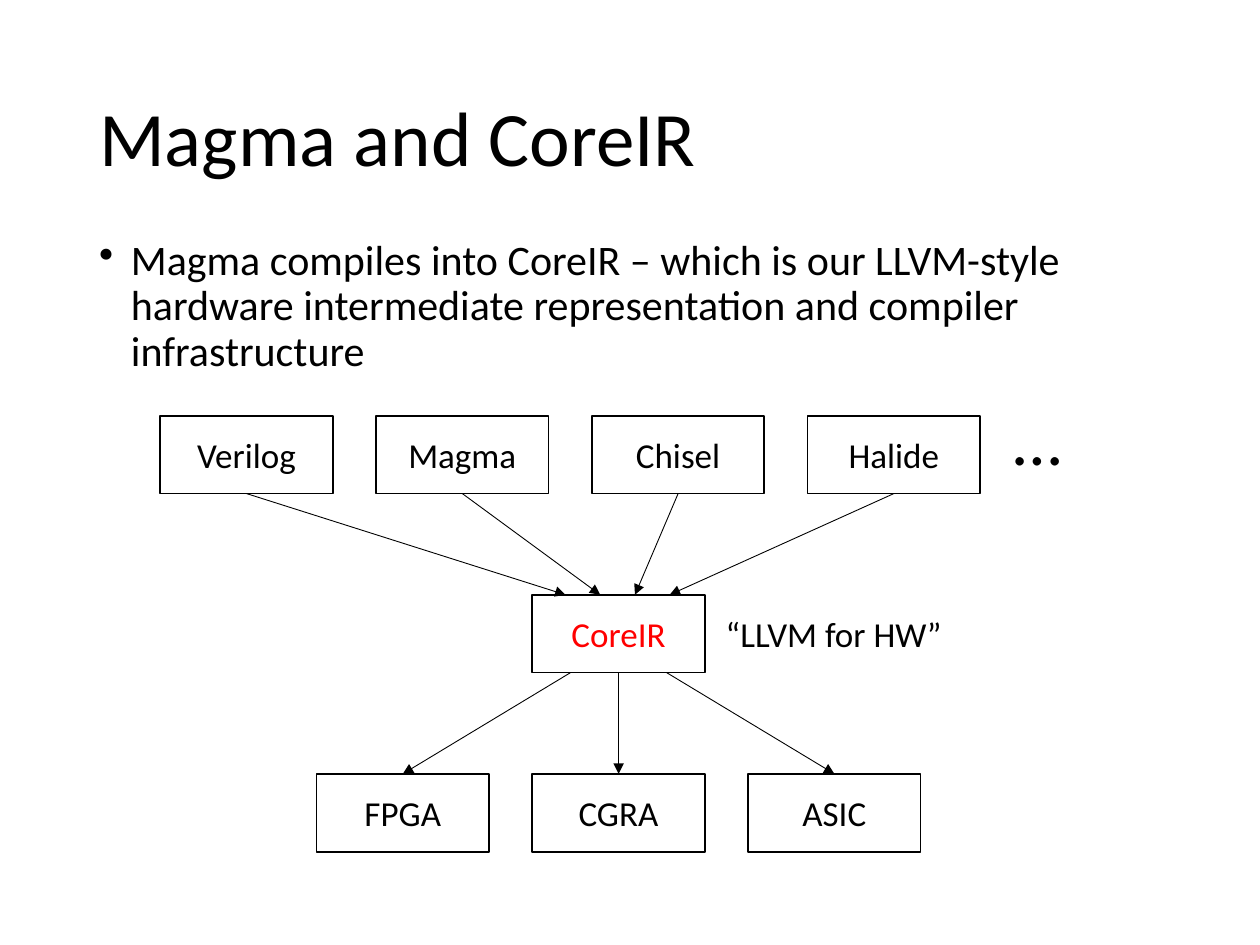
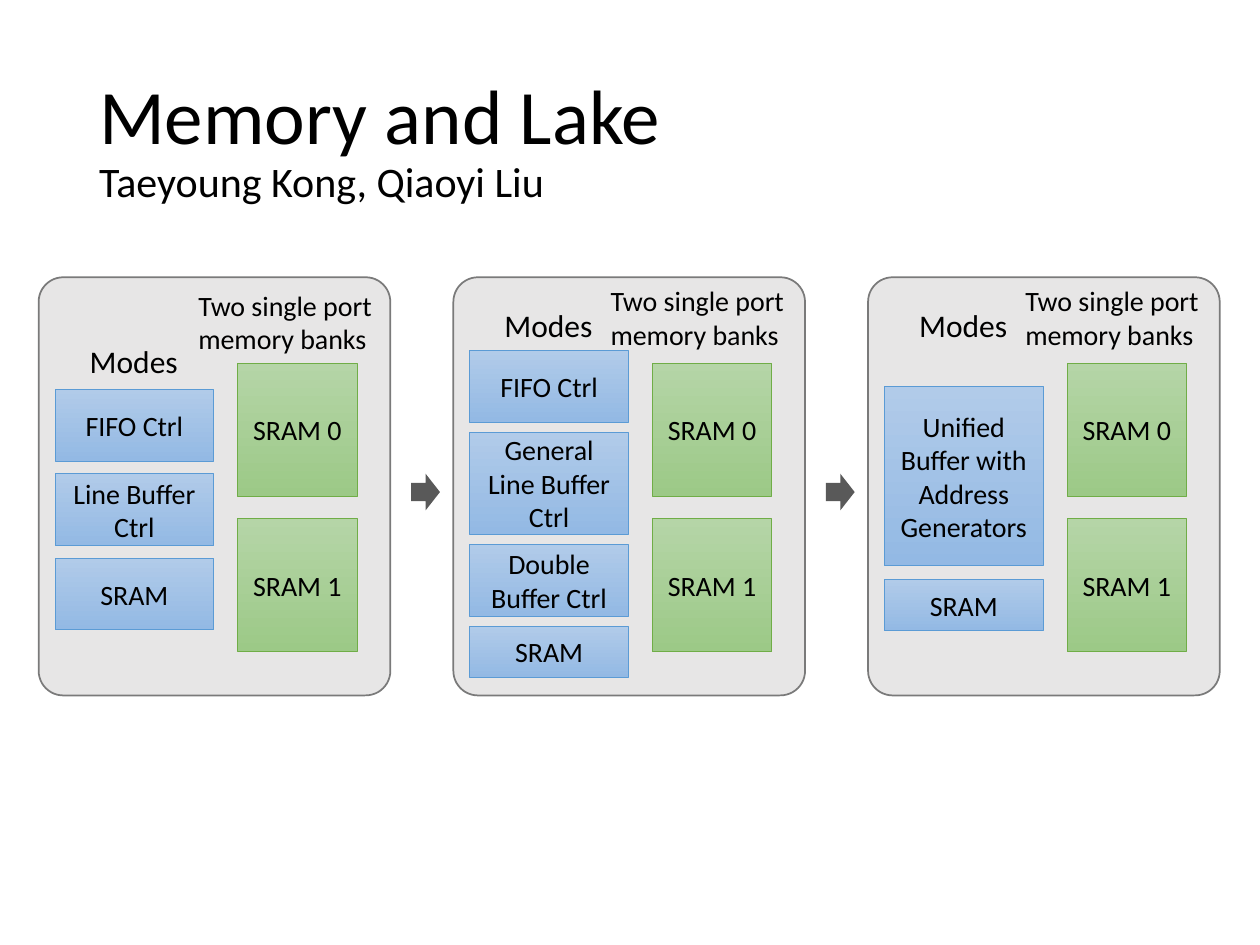
from pptx import Presentation
from pptx import util as u
from pptx.dml import color as dml
from pptx.enum import shapes, text
from pptx.oxml import ns, xmlchemy

# Shared look
FONT = "Calibri"
BLACK, RED = "000000", "FF0000"
GREEN = ("B5D5A7", "9CC987", "70AD47")  # top, bottom, edge
BLUE = ("B1CBE9", "93B9E4", "5B9BD5")
LEFT, WIDE = 1.75, 21.9

# Diagram boxes on the first slide
BOX_W, BOX_H, STEP = 3.48, 1.57, 4.35
FRONT_Y, CORE_Y, BACK_Y = 8.38, 11.99, 15.6
CORE_X = 10.73

# Panels on the second slide
PANEL_X, PANEL_Y, PANEL_W, PANEL_H, PANEL_STEP = 0.78, 5.59, 7.09, 8.43, 8.36

# Each panel: note (dx, y, width), label y, first card y, gap, cards (text, height)
PANELS = [
    ((2.97, 5.69, 5.08), 6.78, 7.85, 0.25,
     [("FIFO Ctrl", 1.45), ("Line Buffer Ctrl", 1.45), ("SRAM", 1.45)]),
    ((2.92, 5.59, 4.57), 6.05, 7.06, 0.2,
     [("FIFO Ctrl", 1.45), ("General Line Buffer Ctrl", 2.06),
      ("Double Buffer Ctrl", 1.45), ("SRAM", 1.04)]),
    ((2.92, 5.59, 4.57), 6.05, 7.8, 0.27,
     [("Unified Buffer with Address Generators", 3.61), ("SRAM", 1.04)]),
]


def rgb(code):
    return dml.RGBColor.from_string(code)


def cm(*sizes):
    return [u.Cm(size) for size in sizes]


def style(par, size, color=BLACK):
    for run in par.runs:
        run.font.name = FONT
        run.font.size = u.Pt(size)
        run.font.color.rgb = rgb(color)


def add_text(slide, words, place, size, wrap=True):
    box = slide.shapes.add_textbox(*cm(*place))
    frame = box.text_frame
    frame.word_wrap = wrap
    frame.text = words
    style(frame.paragraphs[0], size)
    return frame


def add_title(slide, words, names=None):
    lines = words if names is None else f"{words}\v{names}"
    frame = add_text(slide, lines, (LEFT, 1.02, WIDE, 3.68), 44)
    frame.vertical_anchor = text.MSO_ANCHOR.MIDDLE
    par = frame.paragraphs[0]
    par.line_spacing = 0.9
    if names:
        par.runs[-1].font.size = u.Pt(24)


def add_bullet(slide, words):
    frame = add_text(slide, words, (LEFT, 4.7, WIDE, 12.47), 24)
    par = frame.paragraphs[0]
    par.line_spacing = 0.9
    props = par._p.get_or_add_pPr()
    props.set("marL", str(u.Cm(0.64)))
    props.set("indent", str(u.Cm(-0.64)))
    mark = xmlchemy.OxmlElement("a:buChar")
    mark.set("char", "•")
    props.append(mark)


def add_form(slide, kind, place, edge=None, width=1):
    form = slide.shapes.add_shape(kind, *cm(*place))
    form.shadow.inherit = False
    if edge:
        form.line.color.rgb = rgb(edge)
        form.line.width = u.Pt(width)
    else:
        form.line.fill.background()
    return form


def add_label(form, words, size, color=BLACK):
    frame = form.text_frame
    frame.word_wrap = True
    frame.vertical_anchor = text.MSO_ANCHOR.MIDDLE
    frame.text = words
    par = frame.paragraphs[0]
    par.alignment = text.PP_ALIGN.CENTER
    style(par, size, color)


def add_box(slide, words, x, y, color=BLACK):
    box = add_form(slide, shapes.MSO_SHAPE.RECTANGLE, (x, y, BOX_W, BOX_H), BLACK)
    box.fill.background()
    add_label(box, words, 20, color)
    return box


def add_row(slide, names, x, y):
    return [add_box(slide, name, x + i * STEP, y) for i, name in enumerate(names)]


def add_card(slide, words, place, tones):
    top, bottom, edge = tones
    card = add_form(slide, shapes.MSO_SHAPE.RECTANGLE, place, edge, 0.5)
    card.fill.gradient()
    card.fill.gradient_angle = 270
    for stop, tone in zip(card.fill.gradient_stops, (top, bottom)):
        stop.color.rgb = rgb(tone)
    add_label(card, words, 16)


def add_arrow(slide, start, end):
    line = slide.shapes.add_connector(
        shapes.MSO_CONNECTOR.STRAIGHT, *cm(*start, *end))
    line.line.color.rgb = rgb(BLACK)
    line.line.width = u.Pt(0.5)
    head = xmlchemy.OxmlElement("a:tailEnd")
    head.set("type", "triangle")
    props = line._element.spPr
    props.find(ns.qn("a:ln")).append(head)
    props.append(xmlchemy.OxmlElement("a:effectLst"))
    return line


def add_panel(slide, x, note, label_y, y, gap, cards):
    panel = add_form(slide, shapes.MSO_SHAPE.ROUNDED_RECTANGLE,
                     (x, PANEL_Y, PANEL_W, PANEL_H), "7A7A7A")
    panel.adjustments[0] = 0.07
    panel.fill.solid()
    panel.fill.fore_color.rgb = rgb("E7E6E6")

    # Memory banks
    for bank in range(2):
        place = (x + 4.01, 7.32 + bank * 3.14, 2.41, 2.68)
        add_card(slide, f"SRAM {bank}", place, GREEN)
    shift, note_y, width = note
    add_text(slide, "Two single port memory banks",
             (x + shift, note_y, width, 1.63), 16)

    # Stack of modes
    add_text(slide, "Modes", (x + 0.78, label_y, 2.31, 1.02), 18, wrap=False)
    for words, height in cards:
        add_card(slide, words, (x + 0.33, y, 3.2, height), BLUE)
        y += height + gap


def add_step(slide, x):
    arrow = add_form(slide, shapes.MSO_SHAPE.RIGHT_ARROW, (x, 9.55, 0.58, 0.74))
    arrow.fill.solid()
    arrow.fill.fore_color.rgb = rgb("595959")


def draw_magma(slide):
    add_title(slide, "Magma and CoreIR")
    add_bullet(slide, "Magma compiles into CoreIR – which is our LLVM-style "
                      "hardware intermediate representation and compiler "
                      "infrastructure")

    # Languages, core and targets
    fronts = add_row(slide, ["Verilog", "Magma", "Chisel", "Halide"], 3.23, FRONT_Y)
    add_text(slide, "…", (20.19, 7.85, 1.5, 1.96), 40, wrap=False)
    core = add_box(slide, "CoreIR", CORE_X, CORE_Y, RED)
    add_text(slide, "“LLVM for HW”", (14.38, 12.22, 4.9, 1.12), 20, wrap=False)
    backs = add_row(slide, ["FPGA", "CGRA", "ASIC"], CORE_X - STEP, BACK_Y)

    # Arrows into and out of the core
    for i, box in enumerate(fronts):
        tip = (11.4 + i * 0.7, CORE_Y)
        add_arrow(slide, tip, tip).begin_connect(box, 2)
    for i, box in enumerate(backs):
        root = (11.5 + i * 0.97, CORE_Y + BOX_H)
        line = add_arrow(slide, root, root)
        line.end_connect(box, 0)
        if i == 1:
            line.begin_connect(core, 2)


def draw_lake(slide):
    add_title(slide, "Memory and Lake", "Taeyoung Kong, Qiaoyi Liu")
    for i, panel in enumerate(PANELS):
        x = PANEL_X + i * PANEL_STEP
        add_panel(slide, x, *panel)
        if i:
            add_step(slide, x - 0.85)


def main():
    deck = Presentation()
    deck.slide_width, deck.slide_height = cm(25.4, 19.05)
    for draw in (draw_magma, draw_lake):
        draw(deck.slides.add_slide(deck.slide_layouts[6]))
    deck.save("out.pptx")


if __name__ == "__main__":
    main()
